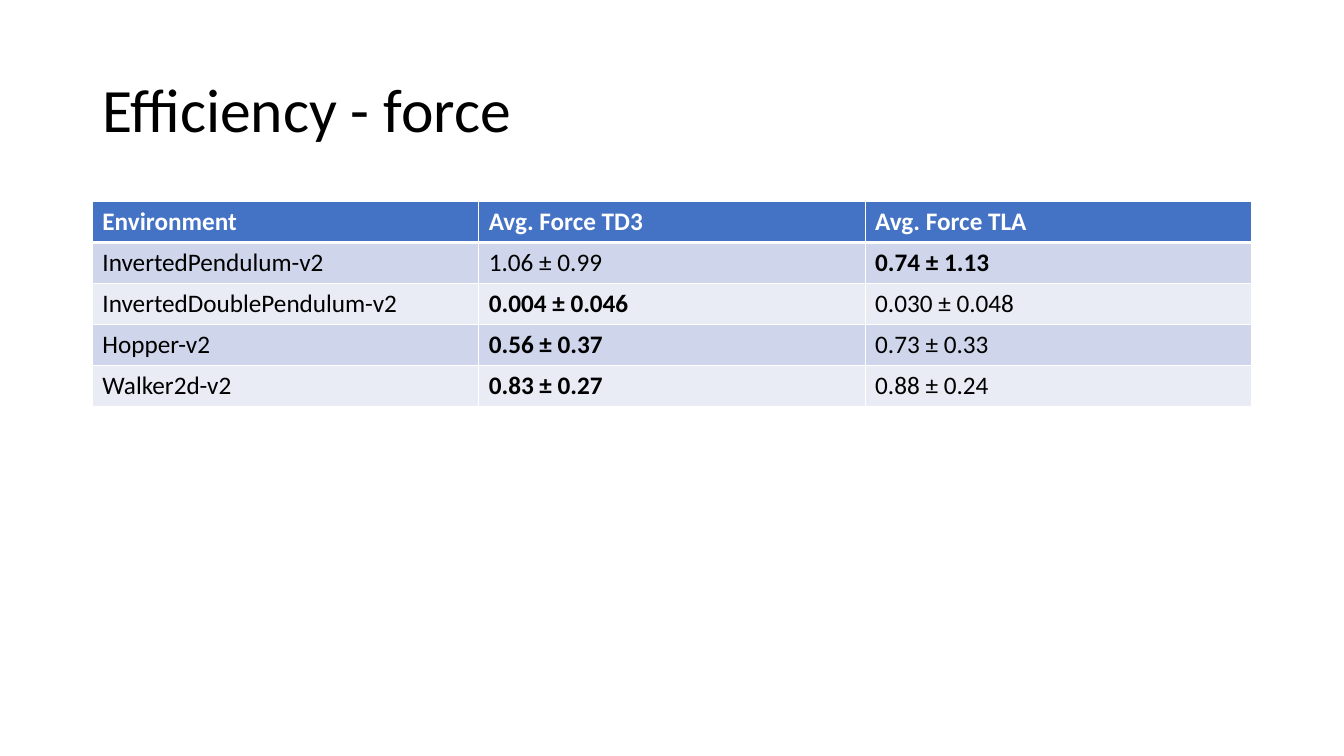
from dataclasses import dataclass

from lxml import etree
from pptx import Presentation
from pptx.dml.color import RGBColor
from pptx.enum.text import MSO_ANCHOR
from pptx.oxml.ns import qn
from pptx.util import Pt

PX = 9525  # EMU per px, 96 px to the inch
MIDDLE = MSO_ANCHOR.MIDDLE
TOP = MSO_ANCHOR.TOP


@dataclass(frozen=True)
class Theme:
    face: str = "Calibri"
    paper: str = "FFFFFF"
    ink: str = "000000"
    head: str = "4472C4"
    bands: tuple = ("CFD5EA", "E9EBF5")
    title: int = 44
    body: int = 18
    thin: int = 1
    thick: int = 3


THEME = Theme()
HEADS = ("Environment", "Avg. Force TD3", "Avg. Force TLA")
ROWS = (
    ("InvertedPendulum-v2", "1.06 ± 0.99", "0.74 ± 1.13"),
    ("InvertedDoublePendulum-v2", "0.004 ± 0.046", "0.030 ± 0.048"),
    ("Hopper-v2", "0.56 ± 0.37", "0.73 ± 0.33"),
    ("Walker2d-v2", "0.83 ± 0.27", "0.88 ± 0.24"),
)


def box(*lengths):
    return [n * PX for n in lengths]


def put_text(frame, text, size, color, bold=False):
    para = frame.paragraphs[0]
    run = para.add_run()
    run.text = text
    form = {"name": THEME.face, "size": Pt(size), "bold": bold}
    for key, value in form.items():
        setattr(run.font, key, value)
    run.font.color.rgb = RGBColor.from_string(color)
    return para


def add_title(slide, text, area):
    frame = slide.shapes.add_textbox(*box(*area)).text_frame
    form = {"word_wrap": True, "vertical_anchor": MIDDLE}
    for key, value in form.items():
        setattr(frame, key, value)
    put_text(frame, text, THEME.title, THEME.ink).line_spacing = 0.9


def add_edge(cell, side, width):
    props = cell._tc.get_or_add_tcPr()
    line = etree.SubElement(props, qn(f"a:ln{side}"), w=str(Pt(width)))
    fill = etree.SubElement(line, qn("a:solidFill"))
    etree.SubElement(fill, qn("a:srgbClr"), val=THEME.paper)


def fill_cell(cell, text, fill, color, bold, edges):
    # Edges come before the fill in the cell properties
    for side, width in edges.items():
        add_edge(cell, side, width)
    cell.fill.solid()
    cell.fill.fore_color.rgb = RGBColor.from_string(fill)
    cell.vertical_anchor = TOP
    put_text(cell.text_frame, text, THEME.body, color, bold)


def add_grid(slide, heads, rows, left, top, width, step):
    count = len(rows) + 1
    area = box(left, top, width, step * count)
    table = slide.shapes.add_table(count, len(heads), *area).table
    edges = dict.fromkeys(("L", "R", "T", "B"), THEME.thin)

    # Header row, with a thick rule below it
    for col, text in enumerate(heads):
        rule = {**edges, "B": THEME.thick}
        fill_cell(table.cell(0, col), text, THEME.head, THEME.paper, True, rule)

    # Banded rows, with the lowest mean force in bold
    for row, texts in enumerate(rows, 1):
        best = min(texts[1:], key=lambda text: float(text.split()[0]))
        fill = THEME.bands[(row - 1) % 2]
        rule = {**edges, "T": THEME.thick if row == 1 else THEME.thin}
        for col, text in enumerate(texts):
            cell = table.cell(row, col)
            fill_cell(cell, text, fill, THEME.ink, text == best, rule)


def main():
    deck = Presentation()
    deck.slide_width, deck.slide_height = box(1280, 720)
    slide = deck.slides.add_slide(deck.slide_layouts[6])
    add_title(slide, "Efficiency - force", (88, 38, 1104, 139))
    add_grid(slide, HEADS, ROWS, left=88, top=192, width=1104, step=39)
    deck.save("out.pptx")


if __name__ == "__main__":
    main()
